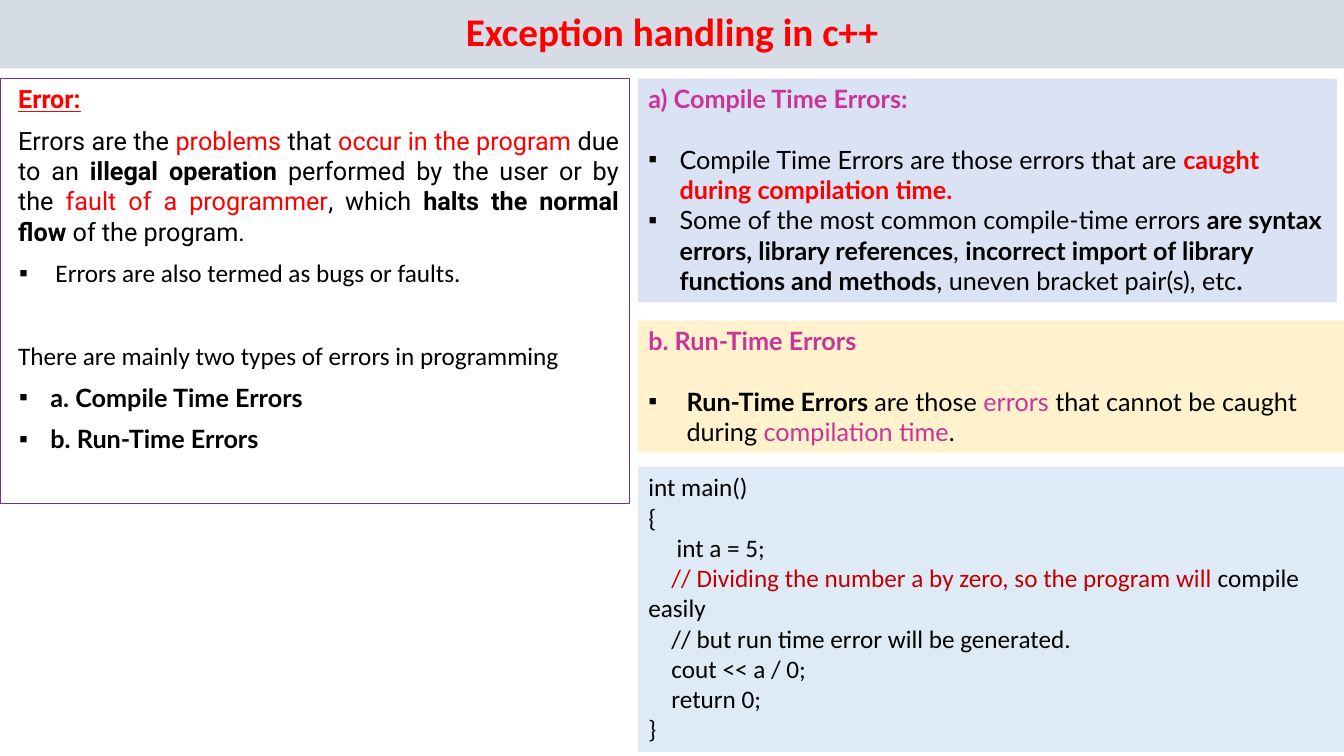
import pptx
import pptx.util
import pptx.dml.color
import pptx.enum.text
import lxml.etree

Inches, Pt = pptx.util.Inches, pptx.util.Pt
RGBColor = pptx.dml.color.RGBColor
Align = pptx.enum.text.PP_ALIGN
Anchor = pptx.enum.text.MSO_ANCHOR

BLACK = RGBColor(0x00, 0x00, 0x00)
RED = RGBColor(0xFF, 0x00, 0x00)
DARK_RED = RGBColor(0xC0, 0x00, 0x00)
PINK = RGBColor(0xCC, 0x33, 0x99)
PURPLE = RGBColor(0x70, 0x30, 0xA0)
GREY = RGBColor(0xD6, 0xDC, 0xE5)
PALE_BLUE = RGBColor(0xDA, 0xE3, 0xF3)
PALE_YELLOW = RGBColor(0xFF, 0xF2, 0xCC)
SKY = RGBColor(0xDE, 0xEB, 0xF7)
BLANK_LINE = 21.6  # points left open below a section heading


def place(box, left, top, width, height, fill=None, anchor=Anchor.TOP):
    box.left, box.top = Inches(left), Inches(top)
    box.width, box.height = Inches(width), Inches(height)
    if fill is not None:
        box.fill.solid()
        box.fill.fore_color.rgb = fill
    frame = box.text_frame
    frame.word_wrap = True
    frame.auto_size = pptx.enum.text.MSO_AUTO_SIZE.NONE
    frame.vertical_anchor = anchor
    return frame


def write(frame, spans, font, size=18, align=Align.LEFT, after=0, margin=0,
          indent=0, bullet=False, spacing=1.0):
    """Add a paragraph; each span is (text, colour, bold[, underline])."""
    para = frame.paragraphs[0]
    if para.runs:
        para = frame.add_paragraph()
    para.alignment = align
    para.line_spacing = spacing
    para.space_before, para.space_after = Pt(0), Pt(after)
    props = para._p.get_or_add_pPr()
    props.set("marL", str(Inches(margin)))
    props.set("indent", str(Inches(indent)))
    namespace = "{http://schemas.openxmlformats.org/drawingml/2006/main}"
    if bullet:
        lxml.etree.SubElement(props, namespace + "buFont", typeface="Arial")
        lxml.etree.SubElement(props, namespace + "buChar", char="▪")
    else:
        lxml.etree.SubElement(props, namespace + "buNone")
    for text, colour, bold, *underline in spans:
        span = para.add_run()
        span.text = text
        span.font.name, span.font.size = font, Pt(size)
        span.font.color.rgb, span.font.bold = colour, bold
        span.font.underline = bool(underline)


deck = pptx.Presentation()
deck.slide_width, deck.slide_height = Inches(13.33), Inches(7.5)
page = deck.slides.add_slide(deck.slide_layouts.get_by_name("Comparison"))
title, error_box, compile_box, runtime_box, code_box = page.placeholders

# Title bar
frame = place(title, 0, 0, 13.33, 0.68, GREY, Anchor.MIDDLE)
write(frame, [("Exception handling in c++", RED, True)], "Calibri", size=28,
      align=Align.CENTER, after=8, spacing=0.9)

# Definition of an error
frame = place(error_box, 0, 0.78, 6.24, 4.22)
error_box.line.color.rgb = PURPLE
error_box.line.width = Pt(0.75)
plain = dict(align=Align.JUSTIFY, after=8, margin=0.08)
listed = dict(align=Align.JUSTIFY, after=8, margin=0.4, indent=-0.31, bullet=True)
write(frame, [("Error:", RED, True, True)], "Roboto", **plain)
write(frame, [
    ("Errors are the ", BLACK, False),
    ("problems", RED, False),
    (" that ", BLACK, False),
    ("occur in the program ", RED, False),
    ("due to an ", BLACK, False),
    ("illegal operation ", BLACK, True),
    ("performed by the user or by the ", BLACK, False),
    ("fault of a programmer", RED, False),
    (", which ", BLACK, False),
    ("halts the normal flow ", BLACK, True),
    ("of the program.", BLACK, False),
], "Roboto", **plain)
write(frame, [("Errors are also termed as bugs or faults.", BLACK, False)], "Calibri",
      **{**listed, "margin": 0.45, "indent": -0.36, "after": 38})
write(frame, [("There are mainly two types of errors in programming", BLACK, False)],
      "Calibri", **plain)
for kind in ("a. Compile Time Errors", "b. Run-Time Errors"):
    write(frame, [(kind, BLACK, True)], "Lato", **listed)

# Compile time errors
frame = place(compile_box, 6.33, 0.78, 6.93, 2.22, PALE_BLUE)
write(frame, [("a) Compile Time Errors:", PINK, True)], "Lato", after=BLANK_LINE)
compile_points = [
    [("Compile Time Errors are those errors that are ", BLACK, False),
     ("caught during compilation time.", RED, True)],
    [("Some of the most common compile-time errors ", BLACK, False),
     ("are syntax errors, library references", BLACK, True),
     (", ", BLACK, False),
     ("incorrect import of library functions and methods", BLACK, True),
     (", uneven bracket pair(s), etc", BLACK, False),
     (".", BLACK, True)],
]
for point in compile_points:
    write(frame, point, "Lato", margin=0.31, indent=-0.31, bullet=True)

# Run-time errors
frame = place(runtime_box, 6.33, 3.18, 7.01, 1.31, PALE_YELLOW)
write(frame, [("b. Run-Time Errors", PINK, True)], "Lato", after=BLANK_LINE)
write(frame, [
    ("Run-Time Errors ", BLACK, True),
    ("are those ", BLACK, False),
    ("errors", PINK, False),
    (" that cannot be caught during ", BLACK, False),
    ("compilation time", PINK, False),
    (".", BLACK, False),
], "Lato", margin=0.38, indent=-0.38, bullet=True)

# Code example: first-line indent and spans of each line
frame = place(code_box, 6.33, 4.63, 7.01, 2.83, SKY)
code_lines = [
    (0, [("int main()", BLACK, False)]),
    (0, [("{", BLACK, False)]),
    (0.28, [("int a = 5;", BLACK, False)]),
    (0.23, [("// Dividing the number a by zero, so the program will ", DARK_RED, False),
            ("compile easily", BLACK, False)]),
    (0.23, [("// but run time error will be generated.", BLACK, False)]),
    (0.23, [("cout << a / 0;", BLACK, False)]),
    (0.23, [("return 0;", BLACK, False)]),
    (0, [("}", BLACK, False)]),
]
for indent, spans in code_lines:
    write(frame, spans, "Calibri", indent=indent)

deck.save("out.pptx")
